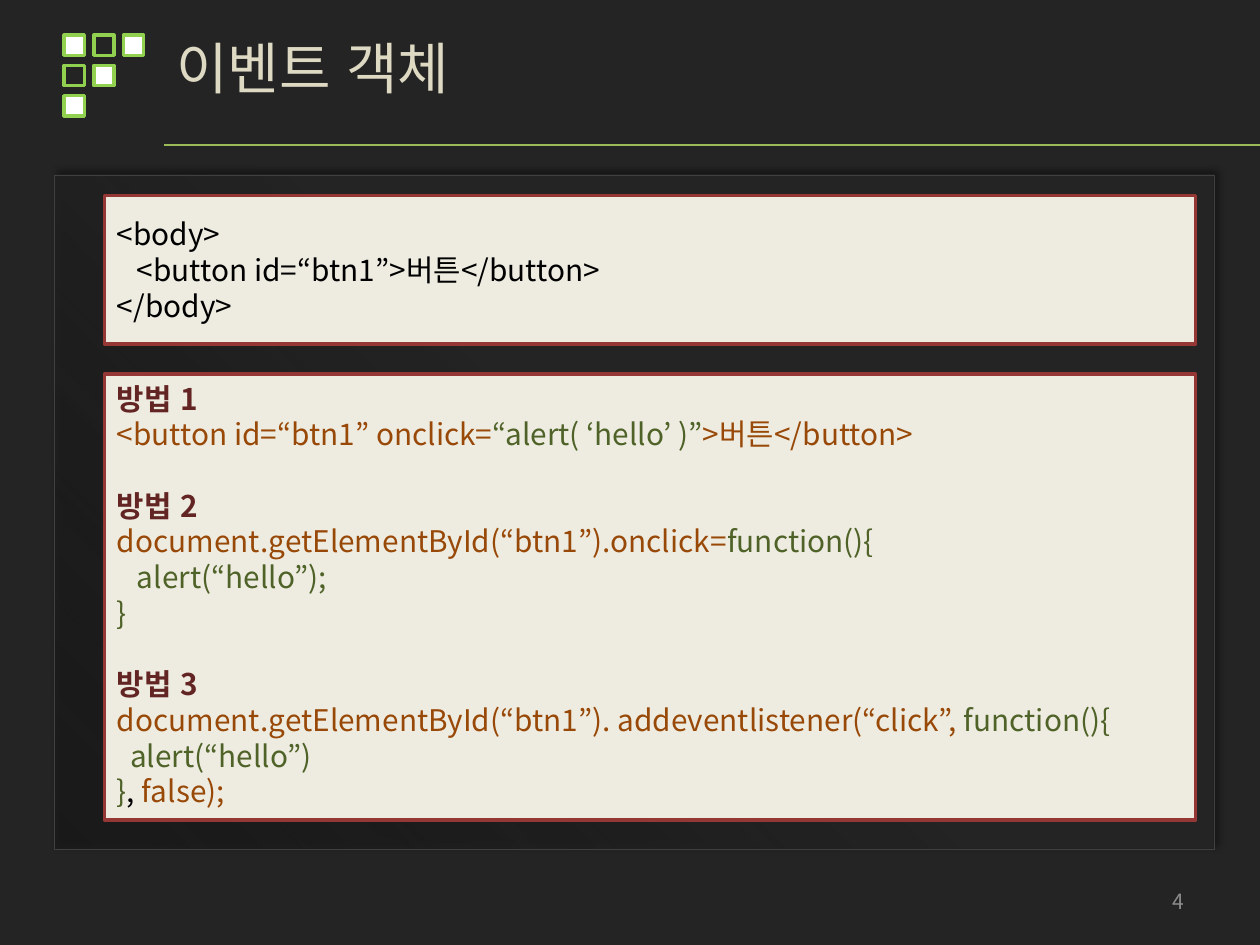
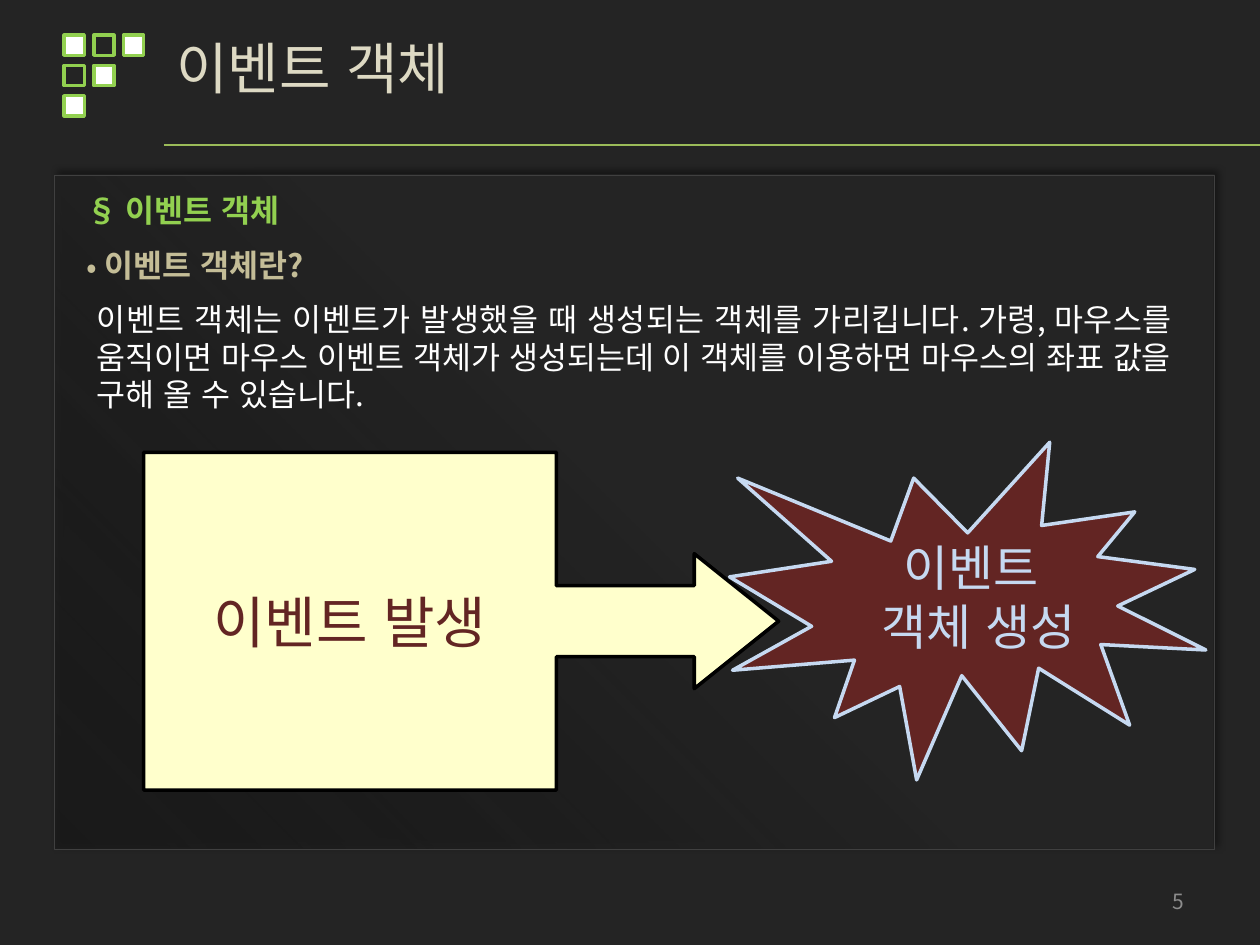
from dataclasses import dataclass
from typing import Any, NamedTuple, Optional

import pptx
import pptx.dml.color
import pptx.enum.shapes
import pptx.enum.text
import pptx.oxml
import pptx.oxml.ns
import pptx.shapes.autoshape
import pptx.slide
import pptx.util
from lxml import etree

Inches = pptx.util.Inches
Pt = pptx.util.Pt
qn = pptx.oxml.ns.qn
Kind = pptx.enum.shapes.MSO_SHAPE
Align = pptx.enum.text.PP_ALIGN
Anchor = pptx.enum.text.MSO_ANCHOR
Slide = pptx.slide.Slide
Shape = pptx.shapes.autoshape.Shape

FACE = "Noto Sans CJK KR"
HEX = {
    "back": "242424", "deep": "191919", "edge": "404040", "lime": "92D050",
    "rule": "9BBB59", "title": "DDD9C3", "page": "8C8C8C", "white": "FFFFFF",
    "black": "000000", "paper": "EEECE1", "frame": "953735", "wine": "632523",
    "rust": "984807", "moss": "4F6228", "sand": "C4BD97", "cream": "FFFFCC",
    "sky": "C6D9F1",
}


class Run(NamedTuple):
    text: str
    tint: str
    bold: bool = False


@dataclass
class Para:
    runs: list[Run]
    gap: float = 0
    dot: bool = False


@dataclass
class Box:
    left: float
    top: float
    width: float
    height: float
    paras: list[Para]
    size: float
    align: Any = Align.LEFT
    anchor: Any = Anchor.TOP
    wrap: bool = True


@dataclass
class Form:
    kind: Any
    left: float
    top: float
    width: float
    height: float
    fill: Optional[str]
    line: str
    weight: float = 2


def tone(name: str) -> pptx.dml.color.RGBColor:
    return pptx.dml.color.RGBColor.from_string(HEX[name])


def line(text: str, tint: str, bold: bool = False, gap: float = 0) -> Para:
    return Para([Run(text, tint, bold)], gap)


def apply(target: Any, form: dict[str, Any]) -> None:
    for key, value in form.items():
        setattr(target, key, value)


# Text
def write(shape: Shape, box: Box) -> None:
    frame = shape.text_frame
    apply(frame, {"word_wrap": box.wrap, "vertical_anchor": box.anchor})
    for index, para in enumerate(box.paras):
        part = frame.add_paragraph() if index else frame.paragraphs[0]
        apply(part, {"alignment": box.align})
        if para.gap:
            part.space_before = Pt(para.gap)
        if para.dot:
            props = part._p.get_or_add_pPr()
            props.set("marL", str(Inches(0.14)))
            props.set("indent", str(-Inches(0.14)))
            etree.SubElement(props, qn("a:buFont"), typeface=FACE)
            etree.SubElement(props, qn("a:buChar"), char="•")
        for item in para.runs:
            run = part.add_run()
            run.text = item.text
            apply(run.font, {"name": FACE, "size": Pt(box.size), "bold": item.bold})
            run.font.color.rgb = tone(item.tint)
            props = run._r.get_or_add_rPr()
            props.set("lang", "ko-KR")
            props.set("kern", "0")
            etree.SubElement(props, qn("a:ea"), typeface=FACE)


def place(slide: Slide, box: Box) -> None:
    spot = map(Inches, (box.left, box.top, box.width, box.height))
    write(slide.shapes.add_textbox(*spot), box)


# Shapes
def draw(slide: Slide, form: Form) -> Shape:
    spot = map(Inches, (form.left, form.top, form.width, form.height))
    shape = slide.shapes.add_shape(form.kind, *spot)
    shape.shadow.inherit = False
    if form.fill:
        shape.fill.solid()
        shape.fill.fore_color.rgb = tone(form.fill)
    else:
        shape.fill.background()
    shape.line.color.rgb = tone(form.line)
    shape.line.width = Pt(form.weight)
    return shape


def card(slide: Slide, box: Box) -> None:
    form = Form(Kind.RECTANGLE, box.left, box.top, box.width, box.height, "paper", "frame")
    write(draw(slide, form), box)


def panel(slide: Slide) -> None:
    shape = draw(slide, Form(Kind.RECTANGLE, 0.43, 1.39, 9.21, 5.35, None, "edge", 0.75))
    props = shape._element.spPr
    space = pptx.oxml.ns.nsdecls("a")
    glow = pptx.oxml.parse_xml(
        f'<a:gradFill {space} rotWithShape="1"><a:gsLst>'
        f'<a:gs pos="0"><a:srgbClr val="{HEX["deep"]}"><a:alpha val="62000"/></a:srgbClr></a:gs>'
        f'<a:gs pos="50000"><a:srgbClr val="{HEX["back"]}"/></a:gs></a:gsLst>'
        '<a:path path="circle"><a:fillToRect t="100000" r="100000"/></a:path></a:gradFill>')
    props.replace(props.find(qn("a:noFill")), glow)
    shade = etree.SubElement(
        props.find(qn("a:effectLst")), qn("a:outerShdw"), blurRad=str(Pt(4)),
        dist=str(Pt(3)), dir=str(315 * 60000), algn="bl", rotWithShape="0")
    tint = etree.SubElement(shade, qn("a:srgbClr"), val=HEX["black"])
    etree.SubElement(tint, qn("a:alpha"), val="40000")


# Shared base: squares, rule, panel, title and page number
def base(deck: Any, page: int) -> Slide:
    slide = deck.slides.add_slide(deck.slide_layouts[6])
    slide.background.fill.solid()
    slide.background.fill.fore_color.rgb = tone("back")
    for row, marks in enumerate(("#.#", ".#", "#")):
        for col, mark in enumerate(marks):
            fill = "white" if mark == "#" else None
            draw(slide, Form(Kind.RECTANGLE, 0.51 + col * 0.47 / 2, 0.28 + row * 0.24,
                             0.16, 0.16, fill, "lime"))
    rule = slide.shapes.add_connector(
        pptx.enum.shapes.MSO_CONNECTOR.STRAIGHT,
        Inches(1.3), Inches(1.15), Inches(10), Inches(1.15))
    rule.line.color.rgb = tone("rule")
    rule.line.width = Pt(1.25)
    etree.SubElement(rule._element.spPr, qn("a:effectLst"))
    panel(slide)
    place(slide, Box(1.3, 0.22, 8.66, 0.85, [line("이벤트 객체", "title")], 32))
    place(slide, Box(7.17, 6.95, 2.33, 0.4, [line(str(page), "page")], 12,
                     Align.RIGHT, Anchor.MIDDLE))
    return slide


# Slide with the code samples
def codes(deck: Any) -> None:
    slide = base(deck, 4)
    gap = 20.4
    ways = [
        line("방법 1", "wine", True),
        Para([Run("<button id=“btn1” onclick=", "rust"),
              Run("“alert( ‘hello’ )”", "moss"),
              Run(">버튼</button>", "rust")]),
        line("방법 2", "wine", True, gap),
        Para([Run("document.getElementById(“btn1”).onclick=", "rust"),
              Run("function(){", "moss")]),
        line("   alert(“hello”);", "moss"),
        line("}", "moss"),
        line("방법 3", "wine", True, gap),
        Para([Run("document.getElementById(“btn1”). addeventlistener(“click”, ", "rust"),
              Run("function(){", "moss")]),
        line("  alert(“hello”)", "moss"),
        Para([Run("}", "moss"), Run(", ", "black"), Run("false);", "rust")]),
    ]
    body = [line(text, "black") for text in (
        "<body>", "   <button id=“btn1”>버튼</button>", "</body>")]
    card(slide, Box(0.83, 2.97, 8.66, 3.54, ways, 17))
    card(slide, Box(0.83, 1.55, 8.66, 1.18, body, 17, anchor=Anchor.MIDDLE))


# Slide with the event flow
def flow(deck: Any) -> None:
    slide = base(deck, 5)
    about = ("이벤트 객체는 이벤트가 발생했을 때 생성되는 객체를 가리킵니다. 가령, "
             "마우스를 움직이면 마우스 이벤트 객체가 생성되는데 이 객체를 이용하면 "
             "마우스의 좌표 값을 구해 올 수 있습니다.")
    ask = Para([Run("이벤트 객체란?", "sand", True)], dot=True)
    place(slide, Box(0.59, 1.9, 8.9, 0.4, [ask], 18))
    place(slide, Box(0.67, 2.33, 8.73, 1.01, [line(about, "white")], 18, Align.JUSTIFY))
    place(slide, Box(0.59, 1.47, 8.9, 0.4, [line("§ 이벤트 객체", "lime", True)], 18))

    start = Box(1.14, 3.59, 5.04, 2.68, [line("이벤트 발생", "wine")], 32,
                Align.CENTER, Anchor.MIDDLE)
    arrow = draw(slide, Form(Kind.RIGHT_ARROW_CALLOUT, start.left, start.top,
                             start.width, start.height, "cream", "black"))
    for index, value in enumerate((0.21, 0.2, 0.25, 0.65)):
        arrow.adjustments[index] = value
    write(arrow, start)

    draw(slide, Form(Kind.EXPLOSION1, 5.79, 3.51, 3.78, 2.68, "wine", "sky"))
    made = [line(text, "sky") for text in ("이벤트 ", "객체 생성")]
    place(slide, Box(6.81, 4.22, 1.91, 1.04, made, 28, Align.CENTER, wrap=False))


def main() -> None:
    deck = pptx.Presentation()
    apply(deck, {"slide_width": Inches(10), "slide_height": Inches(7.5)})
    codes(deck)
    flow(deck)
    deck.save("out.pptx")


if __name__ == "__main__":
    main()
